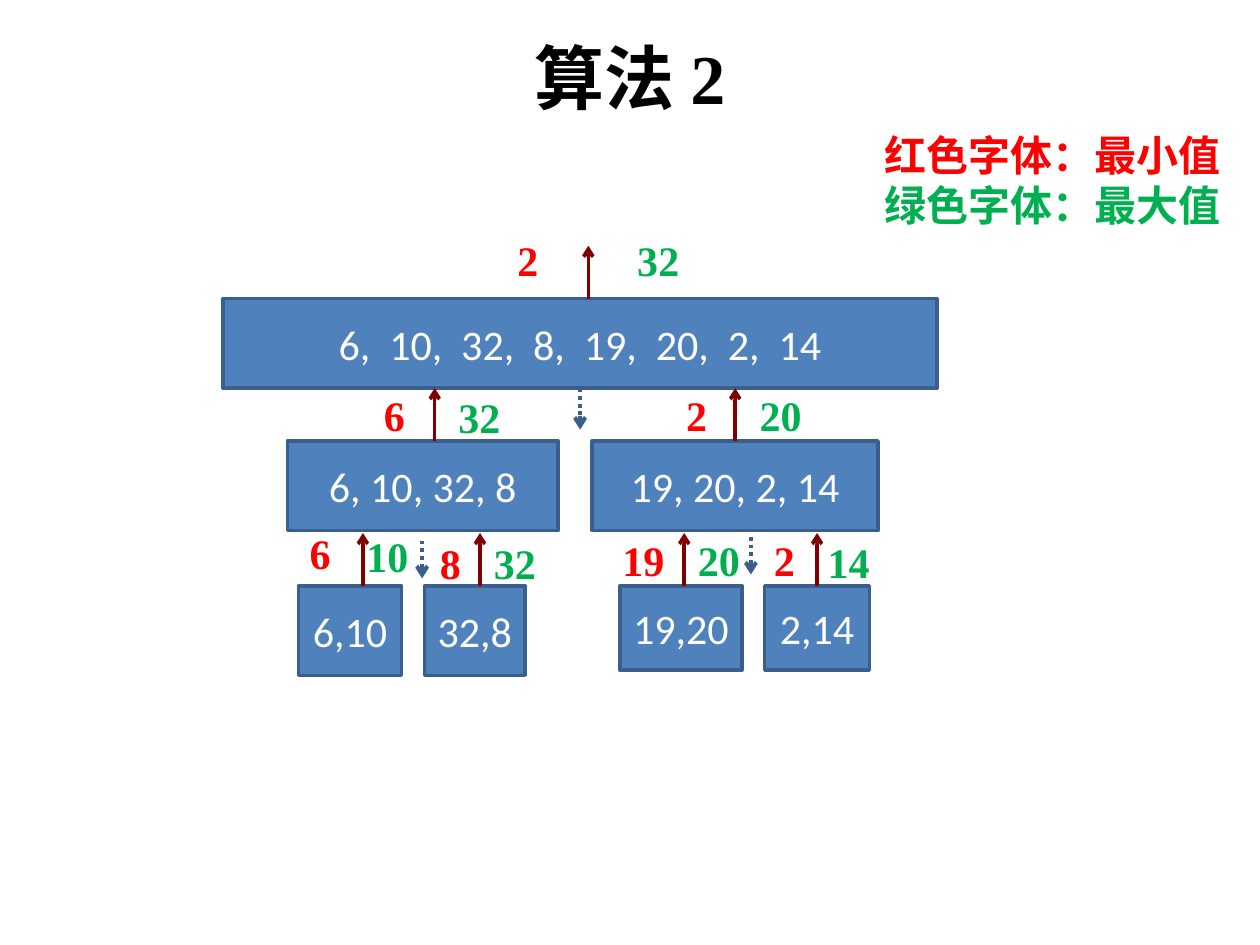
from lxml import etree
from pptx import Presentation
from pptx import util as u
from pptx.dml.color import RGBColor
from pptx.enum import dml, shapes, text
from pptx.oxml.ns import qn

BLACK = RGBColor(0x00, 0x00, 0x00)
WHITE = RGBColor(0xFF, 0xFF, 0xFF)
BLUE = RGBColor(0x4F, 0x81, 0xBD)
EDGE = RGBColor(0x3A, 0x5F, 0x8C)
MAROON = RGBColor(0x80, 0x00, 0x00)
RED = RGBColor(0xFF, 0x00, 0x00)
GREEN = RGBColor(0x00, 0xB0, 0x50)

SERIF, SANS, CJK = "Times New Roman", "Calibri", "Noto Sans CJK SC"
RISE = 30.2
GREEN_WIDTH = 51.1
TOP, BOTTOM = 0, 2

# Each row: top and height of a level, then its nodes as
# (numbers, left, width, arrow x or None for the middle,
#  (minimum, left, top, width), (maximum, left, top))
LEVELS = [
    (170.6, [
        ("6,  10,  32,  8,  19,  20,  2,  14", 127.4, 408.2, 51.1, 336.2,
         ("2", 283, 130.3, 37.4), ("32", 350.6, 130.3)),
    ]),
    (252, [
        ("6, 10, 32, 8", 164.2, 154.8, 51.1, 248.4,
         ("6", 206.6, 218.9, 37.4), ("32", 248.4, 220.3)),
        ("19, 20, 2, 14", 338.4, 163.4, 51.1, None,
         ("2", 379.4, 218.9, 37.4), ("20", 420.5, 218.9)),
    ]),
    (334.8, [
        ("6,10", 170.6, 59, 51.1, 207.4,
         ("6", 164.2, 298.1, 37.4), ("10", 195.8, 299.5)),
        ("32,8", 242.6, 57.6, 51.1, 274.3,
         ("8", 234, 303.8, 46.8), ("32", 268.6, 303.8)),
        ("19,20", 354.2, 69.8, 48.2, 391,
         ("19", 344.2, 301.7, 46.8), ("20", 385.2, 301.7)),
        ("2,14", 437, 59.8, 48.2, None,
         ("2", 433.4, 301.7, 29.5), ("14", 459.4, 303.1)),
    ]),
]


class TreeSlide:
    def __init__(self, slide):
        self.slide = slide
        self.size = 24

    def style(self, paragraph, color, font=SERIF, size=None, bold=True):
        paragraph.alignment = text.PP_ALIGN.CENTER
        for run in paragraph.runs:
            run.font.name = font
            run.font.size = u.Pt(size or self.size)
            run.font.bold = bold
            run.font.color.rgb = color
            east_asian = etree.SubElement(run.font._element, qn("a:ea"))
            east_asian.set("typeface", CJK)

    def title(self, words, left, top, width, height):
        title = self.slide.shapes.title
        title.left, title.top = u.Pt(left), u.Pt(top)
        title.width, title.height = u.Pt(width), u.Pt(height)
        frame = title.text_frame
        frame.text = words
        frame.vertical_anchor = text.MSO_ANCHOR.MIDDLE
        self.style(frame.paragraphs[0], BLACK, size=40)

    def node(self, numbers, left, top, width, height):
        box = self.slide.shapes.add_shape(
            shapes.MSO_SHAPE.RECTANGLE,
            u.Pt(left), u.Pt(top), u.Pt(width), u.Pt(height))
        box.shadow.inherit = False
        box.fill.solid()
        box.fill.fore_color.rgb = BLUE
        box.line.color.rgb = EDGE
        box.line.width = u.Pt(2)
        box.text_frame.text = numbers
        box.text_frame.vertical_anchor = text.MSO_ANCHOR.MIDDLE
        self.style(box.text_frame.paragraphs[0], WHITE, SANS, bold=False)
        return box

    def label(self, lines, left, top, width, height=36, font=SERIF, spacing=None):
        """Add a text box; lines holds (words, colour) pairs."""
        box = self.slide.shapes.add_textbox(
            u.Pt(left), u.Pt(top), u.Pt(width), u.Pt(height))
        frame = box.text_frame
        frame.word_wrap = True
        frame.auto_size = text.MSO_AUTO_SIZE.SHAPE_TO_FIT_TEXT
        frame.text = "\n".join(words for words, _ in lines)
        for paragraph, (_, color) in zip(frame.paragraphs, lines):
            self.style(paragraph, color, font)
            if spacing:
                paragraph.line_spacing = u.Pt(spacing)

    def arrow(self, x, start, end, color=MAROON, width=2, dash=None):
        line = self.slide.shapes.add_connector(
            shapes.MSO_CONNECTOR.STRAIGHT,
            u.Pt(x), u.Pt(start), u.Pt(x), u.Pt(end))
        line.line.color.rgb = color
        line.line.width = u.Pt(width)
        if dash:
            line.line.dash_style = dash
        head = etree.SubElement(line.line._get_or_add_ln(), qn("a:tailEnd"))
        head.set("type", "arrow")
        etree.SubElement(line._element.spPr, qn("a:effectLst"))
        return line

    def split_arrow(self, x, start, end):
        return self.arrow(x, start, end, EDGE, 2.25,
                          dml.MSO_LINE.ROUND_DOT)


def main():
    deck = Presentation()
    deck.slide_width, deck.slide_height = u.Pt(720), u.Pt(540)
    tree = TreeSlide(deck.slides.add_slide(deck.slide_layouts[5]))
    tree.title("算法 2", 2.9, 18.7, 714.2, 49.7)

    nodes = []
    for top, level in LEVELS:
        for numbers, left, width, height, arrow_x, minimum, maximum in level:
            node = tree.node(numbers, left, top, width, height)
            nodes.append(node)
            result = tree.arrow(arrow_x or left + width / 2, top, top - RISE)
            if arrow_x is None:
                result.begin_connect(node, TOP)
            tree.label([(minimum[0], RED)], *minimum[1:])
            tree.label([(maximum[0], GREEN)], *maximum[1:], GREEN_WIDTH)

    root_split = tree.split_arrow(331.5, 221.7, 245.5)
    root_split.begin_connect(nodes[0], BOTTOM)
    tree.split_arrow(241.2, 308.9, 330.5)
    tree.split_arrow(429.1, 306.7, 328.3)

    tree.label([("红色字体：最小值", RED), ("绿色字体：最大值", GREEN)],
               496.8, 70.6, 209.5, 65.5, CJK, spacing=28.6)
    deck.save("out.pptx")


if __name__ == "__main__":
    main()
